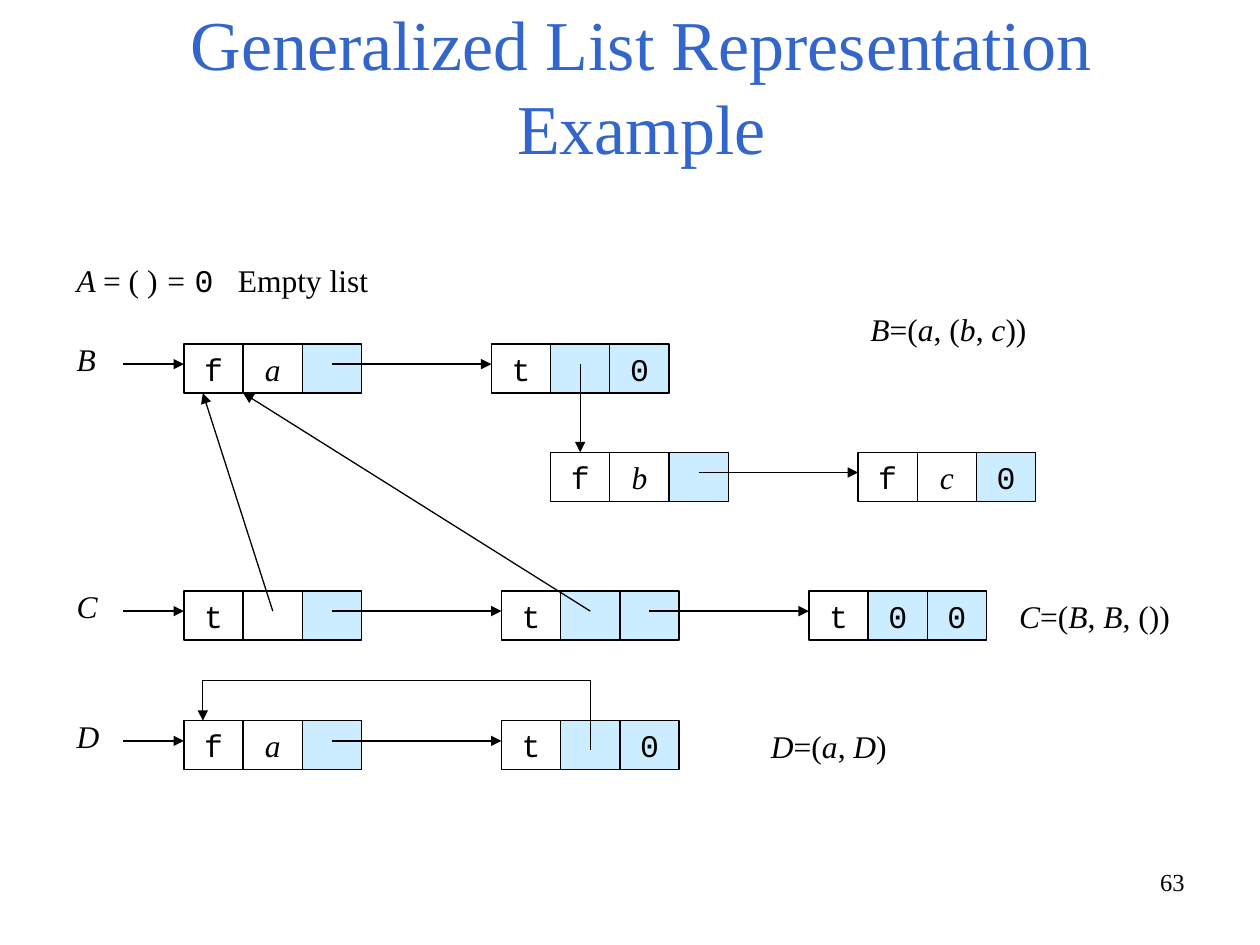
from lxml.etree import SubElement
from pptx import Presentation
from pptx.dml.color import RGBColor
from pptx.enum.shapes import MSO_CONNECTOR, MSO_SHAPE
from pptx.enum.text import MSO_ANCHOR, MSO_AUTO_SIZE, PP_ALIGN
from pptx.oxml.ns import qn
from pptx.util import Inches, Pt

THEME = {
    "title": RGBColor(0x33, 0x66, 0xCC),
    "ink": RGBColor(0, 0, 0),
    "shade": RGBColor(0xCC, 0xEC, 0xFF),
    "serif": "Times New Roman",
    "mono": "Courier New",
    "title_size": 40,
    "body_size": 18,
    "number_size": 14,
    "line": 0.75,
}

TITLE = "Generalized List Representation Example"
PAGE_NUMBER = "63"

CELL_WIDTH, CELL_HEIGHT = 0.47, 0.39
POINTER_DROP = 0.16
LABEL_LEFT, LABEL_WIDTH, LABEL_HEIGHT = 0.51, 0.47, 0.4
FORMULA_WIDTH = 1.81
HEAD_ARROW_LEFT = 0.98
EMPTY_LIST_TAB = 1.28

ROWS = {"B": 2.73, "sublist": 3.59, "C": 4.69, "D": 5.72}
POINTER, BLANK = "pointer", ""
NODES = {
    "B1": (1.46, "B", ("f", "a", POINTER)),
    "B2": (3.9, "B", ("t", POINTER, "0")),
    "S1": (4.37, "sublist", ("f", "b", POINTER)),
    "S2": (6.81, "sublist", ("f", "c", "0")),
    "C1": (1.46, "C", ("t", BLANK, POINTER)),
    "C2": (3.98, "C", ("t", POINTER, POINTER)),
    "C3": (6.42, "C", ("t", "0", "0")),
    "D1": (1.46, "D", ("f", "a", POINTER)),
    "D2": (3.98, "D", ("t", POINTER, "0")),
}
NEXT_LINKS = [("B1", "B2"), ("S1", "S2"), ("C1", "C2"), ("C2", "C3"), ("D1", "D2")]
HEADS = {"B": "B1", "C": "C1", "D": "D1"}

FORMULAS = [
    (6.81, 2.41, [("B", "italic"), ("=(", "serif"), ("a", "italic"), (", (", "serif"),
                  ("b", "italic"), (",", "serif"), (" c", "italic"), ("))", "serif")]),
    (7.99, 4.69, [("C", "italic"), ("=(", "serif"), ("B", "italic"), (",", "serif"),
                  (" B", "italic"), (", ())", "serif")]),
    (6.02, 5.72, [("D", "italic"), ("=(", "serif"), ("a", "italic"), (",", "serif"),
                  (" D", "italic"), (")", "serif")]),
]
EMPTY_LIST = [("A ", "italic"), ("= ( )", "serif"), (" = ", "italic"),
              ("0", "mono"), ("\tEmpty list", "serif")]


def add_runs(paragraph, runs, size=THEME["body_size"], color=THEME["ink"]):
    for text, style in runs:
        run = paragraph.add_run()
        run.text = text
        run.font.name = THEME["mono" if style == "mono" else "serif"]
        run.font.italic = style == "italic"
        run.font.size = Pt(size)
        run.font.color.rgb = color


def add_text(slide, left, top, width, height, runs, **style):
    box = slide.shapes.add_textbox(Inches(left), Inches(top), Inches(width), Inches(height))
    box.text_frame.word_wrap = True
    paragraph = box.text_frame.paragraphs[0]
    add_runs(paragraph, runs, **style)
    return paragraph


def add_cell(slide, left, top, content):
    shape = slide.shapes.add_shape(MSO_SHAPE.RECTANGLE, Inches(left), Inches(top),
                                   Inches(CELL_WIDTH), Inches(CELL_HEIGHT))
    shape.shadow.inherit = False
    shape.line.color.rgb = THEME["ink"]
    shape.line.width = Pt(THEME["line"])
    if content in (POINTER, "0"):
        shape.fill.solid()
        shape.fill.fore_color.rgb = THEME["shade"]
    else:
        shape.fill.background()
    if content in (POINTER, BLANK):
        return
    frame = shape.text_frame
    frame.word_wrap = False
    frame.vertical_anchor = MSO_ANCHOR.MIDDLE
    paragraph = frame.paragraphs[0]
    paragraph.alignment = PP_ALIGN.CENTER
    add_runs(paragraph, [(content, "mono" if content in "ft0" else "italic")])


def add_line(slide, start, end, arrow=True):
    connector = slide.shapes.add_connector(MSO_CONNECTOR.STRAIGHT,
                                           *(Inches(value) for value in (*start, *end)))
    connector.line.color.rgb = THEME["ink"]
    connector.line.width = Pt(THEME["line"])
    if arrow:
        SubElement(connector.line._get_or_add_ln(), qn("a:tailEnd"), type="triangle")
    SubElement(connector._element.spPr, qn("a:effectLst"))


def corner(name):
    left, row, _ = NODES[name]
    return left, ROWS[row]


def entry(name):
    left, top = corner(name)
    return left, top + POINTER_DROP


def pointer(name, column):
    left, top = entry(name)
    return left + (column + 0.5) * CELL_WIDTH, top


def add_title(slide):
    title = slide.shapes.title
    title.left, title.top = Inches(0.75), Inches(0.51)
    title.width, title.height = Inches(8.68), Inches(0.88)
    frame = title.text_frame
    frame.word_wrap = True
    frame.auto_size = MSO_AUTO_SIZE.NONE
    frame.vertical_anchor = MSO_ANCHOR.BOTTOM
    paragraph = frame.paragraphs[0]
    paragraph.alignment = PP_ALIGN.CENTER
    add_runs(paragraph, [(TITLE, "serif")], THEME["title_size"], THEME["title"])


def add_links(slide):
    for source, target in NEXT_LINKS:
        add_line(slide, pointer(source, 2), entry(target))
    for label, node in HEADS.items():
        left, top = entry(node)
        add_line(slide, (HEAD_ARROW_LEFT, top), (left, top))
        add_text(slide, LABEL_LEFT, ROWS[label] - 0.08, LABEL_WIDTH, LABEL_HEIGHT,
                 [(label, "italic")])

    start = pointer("B2", 1)
    add_line(slide, start, (start[0], ROWS["sublist"]))

    b_left, b_top = corner("B1")
    b_bottom = b_top + CELL_HEIGHT
    add_line(slide, pointer("C1", 1), (b_left + 0.15, b_bottom))
    add_line(slide, pointer("C2", 1), (b_left + CELL_WIDTH, b_bottom))

    d_left, d_top = corner("D1")
    loop_left, loop_top = d_left + 0.15, d_top - 0.32
    loop_right = pointer("D2", 1)[0]
    points = [(loop_right, d_top + 0.23), (loop_right, loop_top),
              (loop_left, loop_top), (loop_left, d_top)]
    for start, end in zip(points, points[1:]):
        add_line(slide, start, end, arrow=end == points[-1])


def main():
    presentation = Presentation()
    presentation.slide_width, presentation.slide_height = Inches(10), Inches(7.5)
    slide = presentation.slides.add_slide(presentation.slide_layouts[5])
    add_title(slide)

    for left, row, cells in NODES.values():
        for column, content in enumerate(cells):
            add_cell(slide, left + column * CELL_WIDTH, ROWS[row], content)
    add_links(slide)

    paragraph = add_text(slide, LABEL_LEFT, 2.02, 2.83, LABEL_HEIGHT, EMPTY_LIST)
    tabs = SubElement(paragraph._p.get_or_add_pPr(), qn("a:tabLst"))
    SubElement(tabs, qn("a:tab"), pos=str(Inches(EMPTY_LIST_TAB)), algn="l")
    for left, top, runs in FORMULAS:
        add_text(slide, left, top, FORMULA_WIDTH, LABEL_HEIGHT, runs)

    number = add_text(slide, 7.17, 6.83, 2.33, 0.52, [(PAGE_NUMBER, "serif")],
                      size=THEME["number_size"])
    number.alignment = PP_ALIGN.RIGHT
    presentation.save("out.pptx")


if __name__ == "__main__":
    main()
